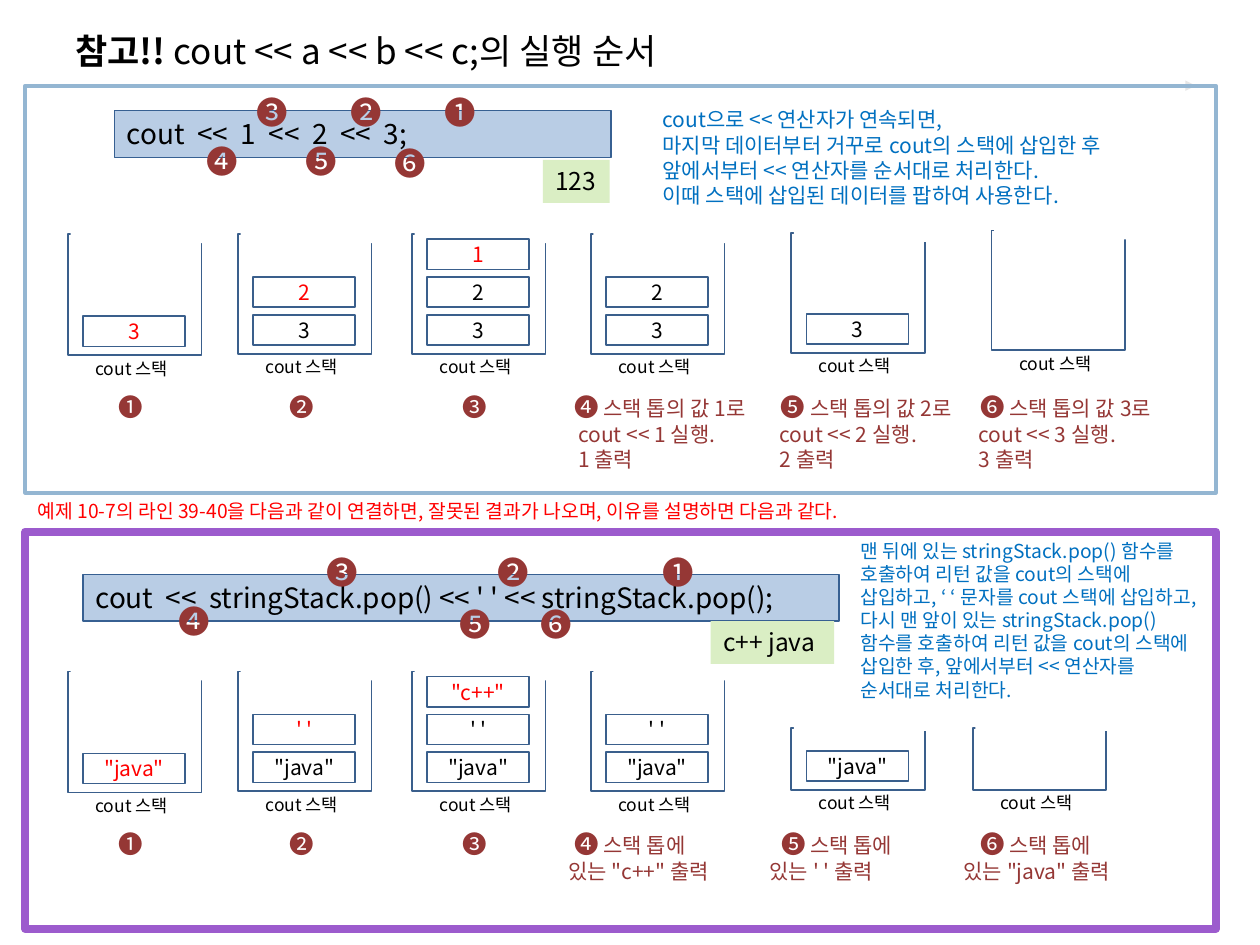
from dataclasses import dataclass

from lxml.etree import SubElement
from pptx import Presentation
from pptx.dml.color import RGBColor
from pptx.enum.shapes import MSO_CONNECTOR, MSO_SHAPE
from pptx.enum.text import MSO_ANCHOR, MSO_AUTO_SIZE as AutoSize, PP_ALIGN
from pptx.oxml.ns import qn
from pptx.util import Emu, Pt

PX = 9144  # 100 px to the inch
FONT = "Noto Sans CJK KR"

BLACK = RGBColor(0x00, 0x00, 0x00)
WHITE = RGBColor(0xFF, 0xFF, 0xFF)
RED = RGBColor(0xFF, 0x00, 0x00)
MAROON = RGBColor(0x95, 0x37, 0x35)
BLUE = RGBColor(0x00, 0x70, 0xC0)
NAVY = RGBColor(0x3A, 0x5F, 0x8C)
CODE_FILL = RGBColor(0xB9, 0xCD, 0xE5)
CODE_LINE = RGBColor(0x37, 0x60, 0x92)
OUTPUT_FILL = RGBColor(0xDA, 0xEE, 0xC4)
SKY = RGBColor(0x94, 0xB6, 0xD2)
PURPLE = RGBColor(0x9C, 0x5B, 0xCD)
GRAY = RGBColor(0xE6, 0xE6, 0xE6)


@dataclass(frozen=True)
class Box:
    left: int
    top: int
    width: int
    height: int

    def emu(self) -> tuple[Emu, ...]:
        return tuple(Emu(v * PX) for v in (self.left, self.top, self.width, self.height))


@dataclass(frozen=True)
class Badge:
    mark: str
    left: int
    top: int


@dataclass(frozen=True)
class Stack:
    left: int
    bottom: int
    items: tuple[str, ...]  # from the bottom up
    pushed: bool = False  # the top item has just been inserted
    height: int = 95
    lid_rise: int = 5


@dataclass(frozen=True)
class Note:
    mark: str
    left: int
    width: int
    lines: tuple[str, ...]
    mark_indent: int
    line_indent: int


@dataclass(frozen=True)
class Panel:
    frame: Box
    frame_color: RGBColor
    frame_width: float
    code_box: Box
    code: str
    output_box: Box
    output: str
    badges: tuple[Badge, ...]
    stacks: tuple[Stack, ...]
    step_top: int
    notes: tuple[Note, ...]


STEP_LEFTS = {"❶": 84, "❷": 220, "❸": 357}

PANELS = (
    Panel(
        Box(20, 68, 945, 323), SKY, 2.25,
        Box(91, 88, 394, 37), "cout  <<  1  <<  2  <<  3;",
        Box(431, 127, 53, 34), "123",
        (Badge("❶", 343, 69), Badge("❷", 268, 69), Badge("❸", 194, 69),
         Badge("❹", 154, 108), Badge("❺", 233, 108), Badge("❻", 303, 109)),
        (Stack(54, 282, ("3",), True, 96),
         Stack(189, 281, ("3", "2"), True),
         Stack(327, 281, ("3", "2", "1"), True),
         Stack(469, 281, ("3", "2")),
         Stack(628, 280, ("3",)),
         Stack(787, 278, ())),
        306,
        (Note("❹", 437, 185, ("스택 톱의 값 1로", "cout << 1 실행.", "1 출력"), 9, 12),
         Note("❺", 597, 190, ("스택 톱의 값 2로", "cout << 2 실행.", "2 출력"), 13, 12),
         Note("❻", 755, 190, ("스택 톱의 값 3로", "cout << 3 실행.", "3 출력"), 13, 12)),
    ),
    Panel(
        Box(20, 422, 945, 315), PURPLE, 4.5,
        Box(66, 456, 600, 37), "cout  <<  stringStack.pop() << ' ' << stringStack.pop();",
        Box(564, 493, 98, 34), "c++ java",
        (Badge("❶", 516, 434), Badge("❷", 385, 434), Badge("❸", 249, 434),
         Badge("❹", 132, 473), Badge("❺", 355, 475), Badge("❻", 419, 475)),
        (Stack(54, 629, ('"java"',), True, 96),
         Stack(189, 628, ('"java"', "' '"), True),
         Stack(327, 628, ('"java"', "' '", '"c++"'), True),
         Stack(469, 628, ('"java"', "' '")),
         Stack(628, 627, ('"java"',), height=49, lid_rise=10),
         Stack(772, 627, (), height=49, lid_rise=10)),
        653,
        (Note("❹", 437, 156, ("스택 톱에", '있는 "c++" 출력'), 9, 4),
         Note("❺", 597, 135, ("스택 톱에", "있는 ' ' 출력"), 13, 4),
         Note("❻", 755, 140, ("스택 톱에", '있는 "java" 출력'), 13, 0)),
    ),
)

EXPLANATION = (
    "cout으로 << 연산자가 연속되면,",
    "마지막 데이터부터 거꾸로 cout의 스택에 삽입한 후",
    "앞에서부터 << 연산자를 순서대로 처리한다.",
    "이때 스택에 삽입된 데이터를 팝하여 사용한다.",
)
POP_EXPLANATION = (
    "맨 뒤에 있는 stringStack.pop() 함수를 호출하여 리턴 값을 cout의 스택에 삽입하고, "
    "‘ ‘ 문자를 cout 스택에 삽입하고, 다시 맨 앞이 있는 stringStack.pop() 함수를 호출하여 "
    "리턴 값을 cout의 스택에 삽입한 후, 앞에서부터 << 연산자를 순서대로 처리한다."
)
WARNING = "예제 10-7의 라인 39-40을 다음과 같이 연결하면, 잘못된 결과가 나오며, 이유를 설명하면 다음과 같다."


def style(paragraph, size: float, color: RGBColor) -> None:
    font = paragraph.font
    font.size, font.name = Pt(size), FONT
    font.color.rgb = color
    SubElement(paragraph._p.pPr.find(qn("a:defRPr")), qn("a:ea"), typeface=FONT)


def write(shape, lines, size: float, color: RGBColor, wrap: bool = False) -> None:
    frame = shape.text_frame
    frame.text = "\n".join(lines)
    frame.word_wrap = wrap
    frame.auto_size = AutoSize.SHAPE_TO_FIT_TEXT
    frame.vertical_anchor = MSO_ANCHOR.TOP
    for paragraph in frame.paragraphs:
        paragraph.alignment = PP_ALIGN.LEFT
        style(paragraph, size, color)


def add_text(shapes, box: Box, lines, size: float, color: RGBColor, wrap: bool = False) -> None:
    write(shapes.add_textbox(*box.emu()), lines, size, color, wrap)


def add_rectangle(shapes, box: Box, fill=None, line=None, line_width: float = 1):
    shape = shapes.add_shape(MSO_SHAPE.RECTANGLE, *box.emu())
    shape.shadow.inherit = False
    if fill is None:
        shape.fill.background()
    else:
        shape.fill.solid()
        shape.fill.fore_color.rgb = fill
    if line is None:
        shape.line.fill.background()
    else:
        shape.line.color.rgb = line
        shape.line.width = Pt(line_width)
    return shape


def add_stack(shapes, stack: Stack) -> None:
    """Draw an open-topped box: a lid in white hides its upper edge."""
    group = shapes.add_group_shape().shapes
    top = stack.bottom - stack.height
    add_rectangle(group, Box(stack.left, top, 106, stack.height), WHITE, NAVY)
    add_rectangle(group, Box(stack.left + 2, top - stack.lid_rise, 105, 12), WHITE)
    inner = stack.left + 12
    for level, item in enumerate(stack.items):
        cell_box = Box(inner, stack.bottom - 31 - 30 * level, 81, 24)
        cell = add_rectangle(group, cell_box, WHITE, NAVY)
        newest = stack.pushed and level == len(stack.items) - 1
        write(cell, [item], 12, RED if newest else BLACK, wrap=True)
        cell.text_frame.auto_size = AutoSize.NONE
        cell.text_frame.vertical_anchor = MSO_ANCHOR.MIDDLE
        cell.text_frame.paragraphs[0].alignment = PP_ALIGN.CENTER
    add_text(group, Box(inner, stack.bottom - 3, 81, 27), ["cout 스택"], 10, BLACK)


def add_note(shapes, note: Note, top: int) -> None:
    box = Box(note.left, top, note.width, 14 + 20 * len(note.lines))
    frame = shapes.add_textbox(*box.emu()).text_frame
    frame.word_wrap = True
    for index, line in enumerate(note.lines):
        paragraph = frame.add_paragraph() if index else frame.paragraphs[0]
        indent = note.line_indent if index else note.mark_indent
        paragraph._p.get_or_add_pPr().set("marL", str(indent * PX))
        style(paragraph, 12, MAROON)
        if index == 0:
            mark = paragraph.add_run()
            mark.text, mark.font.size = note.mark, Pt(14)
            line = " " + line
        paragraph.add_run().text = line


def add_panel(shapes, panel: Panel) -> None:
    add_rectangle(shapes, panel.frame, None, panel.frame_color, panel.frame_width)
    code = add_rectangle(shapes, panel.code_box, CODE_FILL, CODE_LINE, 0.75)
    write(code, [panel.code], 16, BLACK, wrap=True)
    write(add_rectangle(shapes, panel.output_box, OUTPUT_FILL), [panel.output], 14, BLACK)
    for badge in panel.badges:
        add_text(shapes, Box(badge.left, badge.top, 43, 40), [badge.mark], 18, MAROON)
    for stack in panel.stacks:
        add_stack(shapes, stack)
    for mark, left in STEP_LEFTS.items():
        add_text(shapes, Box(left, panel.step_top, 38, 34), [mark], 14, MAROON)
    for note in panel.notes:
        add_note(shapes, note, panel.step_top)


def add_title(shapes) -> None:
    rule = shapes.add_connector(MSO_CONNECTOR.STRAIGHT, *(Emu(v * PX) for v in (51, 68, 949, 68)))
    rule.line.color.rgb, rule.line.width = GRAY, Pt(1.5)
    SubElement(rule.line._get_or_add_ln(), qn("a:tailEnd"), type="triangle")
    SubElement(rule._element.spPr, qn("a:effectLst"))
    frame = shapes.add_textbox(*Box(50, 8, 900, 64).emu()).text_frame
    frame.word_wrap = True
    frame.vertical_anchor = MSO_ANCHOR.MIDDLE
    paragraph = frame.paragraphs[0]
    style(paragraph, 20, BLACK)
    for text, bold in (("참고!! ", True), ("cout << a << b << c;의 실행 순서", False)):
        run = paragraph.add_run()
        run.text, run.font.bold = text, bold


def main() -> None:
    presentation = Presentation()
    presentation.slide_width, presentation.slide_height = Emu(1000 * PX), Emu(750 * PX)
    shapes = presentation.slides.add_slide(presentation.slide_layouts[6]).shapes
    add_title(shapes)
    for panel in PANELS:
        add_panel(shapes, panel)
    add_text(shapes, Box(516, 80, 409, 91), EXPLANATION, 12, BLUE)
    add_text(shapes, Box(673, 423, 291, 140), [POP_EXPLANATION], 11, BLUE, wrap=True)
    add_text(shapes, Box(20, 391, 724, 29), [WARNING], 11, RED)
    presentation.save("out.pptx")


if __name__ == "__main__":
    main()
